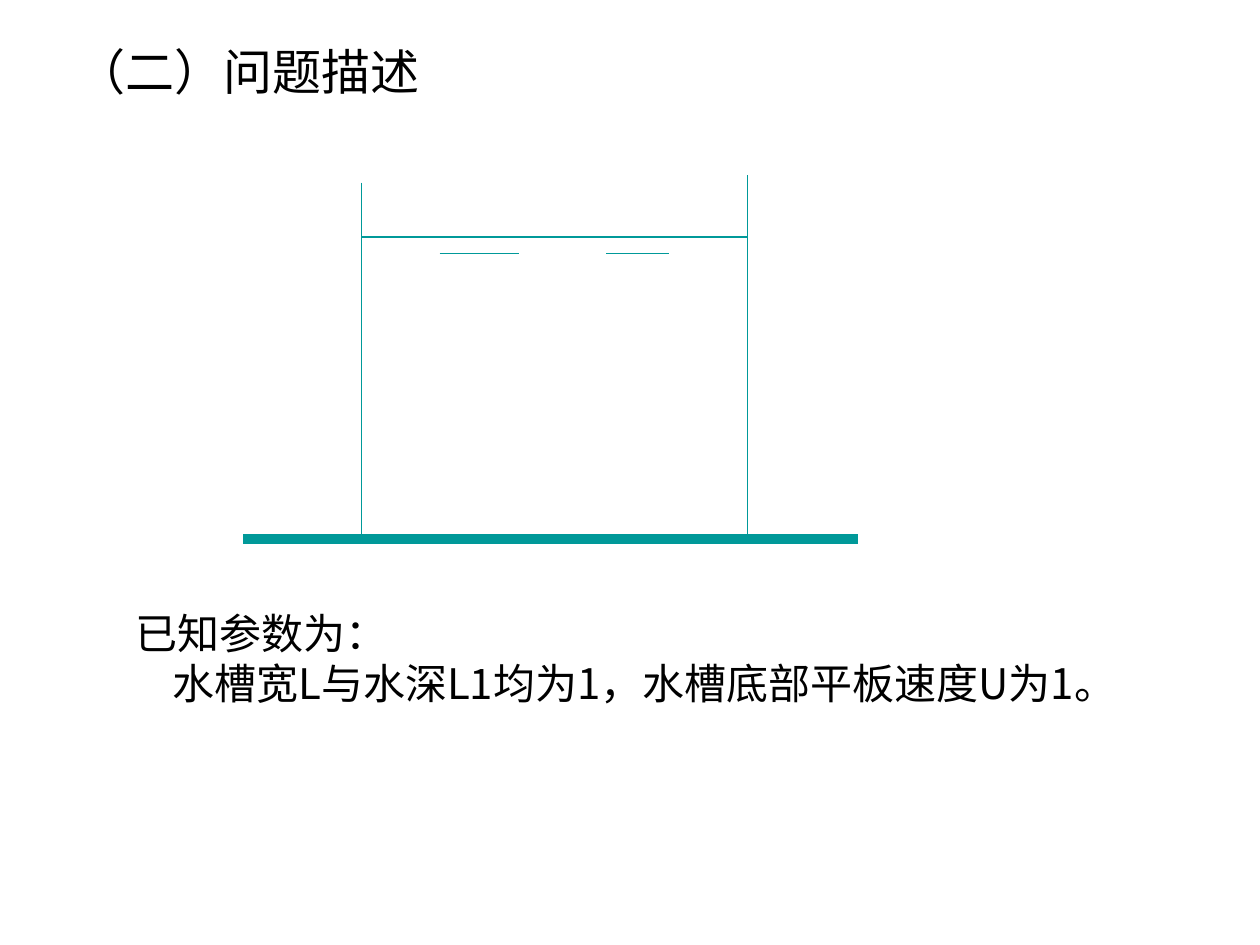
from dataclasses import dataclass

from lxml import etree
from pptx import Presentation
from pptx.dml.color import RGBColor
from pptx.enum.shapes import MSO_CONNECTOR
from pptx.oxml.ns import qn
from pptx.util import Inches, Pt

STRAIGHT = MSO_CONNECTOR.STRAIGHT
FONT = "Noto Sans CJK SC"
COLOURS = {"water": "009999", "text": "000000"}


@dataclass
class Line:
    x1: float
    y1: float
    x2: float
    y2: float
    width: float = 0.75


def draw_line(page, line: Line) -> None:
    connector = page.shapes.add_connector(
        STRAIGHT, Inches(line.x1), Inches(line.y1), Inches(line.x2), Inches(line.y2))
    connector.line.color.rgb = RGBColor.from_string(COLOURS["water"])
    connector.line.width = Pt(line.width)
    etree.SubElement(connector._element.spPr, qn("a:effectLst"))


def format_text(para, text: str, *, size: float, line_height: float,
                indent: float = 0) -> None:
    para.line_spacing = Pt(line_height)
    para._p.get_or_add_pPr().set("indent", str(Inches(indent)))
    span = para.add_run()
    span.text = text
    span.font.size = Pt(size)
    span.font.name = FONT
    span.font.color.rgb = RGBColor.from_string(COLOURS["text"])
    east_asian = etree.SubElement(span.font._element, qn("a:ea"))
    east_asian.set("typeface", FONT)


def add_text_box(page, left: float, top: float, width: float, height: float):
    box = page.shapes.add_textbox(Inches(left), Inches(top), Inches(width), Inches(height))
    box.text_frame.word_wrap = True
    return box.text_frame


def main() -> None:
    deck = Presentation()
    deck.slide_width, deck.slide_height = Inches(10), Inches(7.5)
    page = deck.slides.add_slide(deck.slide_layouts[6])

    # Title
    title = add_text_box(page, 0.51, 0.28, 5.67, 0.57)
    format_text(title.paragraphs[0], "（二）问题描述", size=28, line_height=33.6)

    # Water tank on a moving plate
    left, right, floor, surface, ripple = 2.87, 5.93, 4.24, 1.88, 2.01
    plate_left, plate_right, plate = 1.93, 6.81, 4.28
    for line in (
        Line(left, 1.45, left, floor),
        Line(right, 1.39, right, floor),
        Line(plate_left, plate, plate_right, plate, width=5.5),
        Line(plate_left, floor, left, floor),
        Line(right, floor, plate_right, floor),
        Line(left, surface, right, surface),
        Line(3.49, ripple, 4.12, ripple),
        Line(4.81, ripple, 5.31, ripple),
    ):
        draw_line(page, line)

    # Known parameters
    known = add_text_box(page, 0.98, 4.77, 8.5, 1.3)
    format_text(known.paragraphs[0], "已知参数为：", size=24, line_height=28.8)
    format_text(known.add_paragraph(), "水槽宽L与水深L1均为1，水槽底部平板速度U为1。",
                size=24, line_height=28.8, indent=0.29)

    deck.save("out.pptx")


if __name__ == "__main__":
    main()
